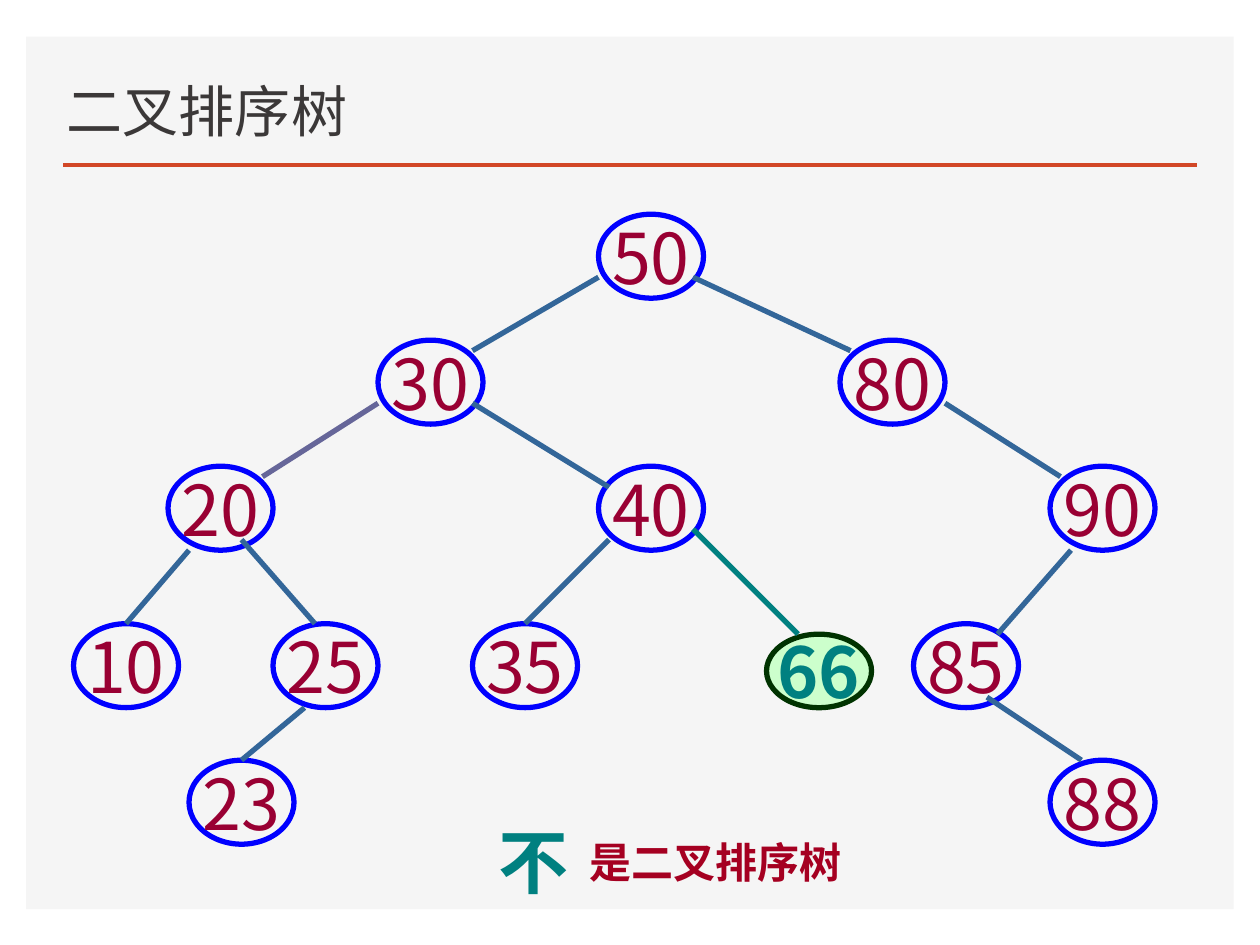
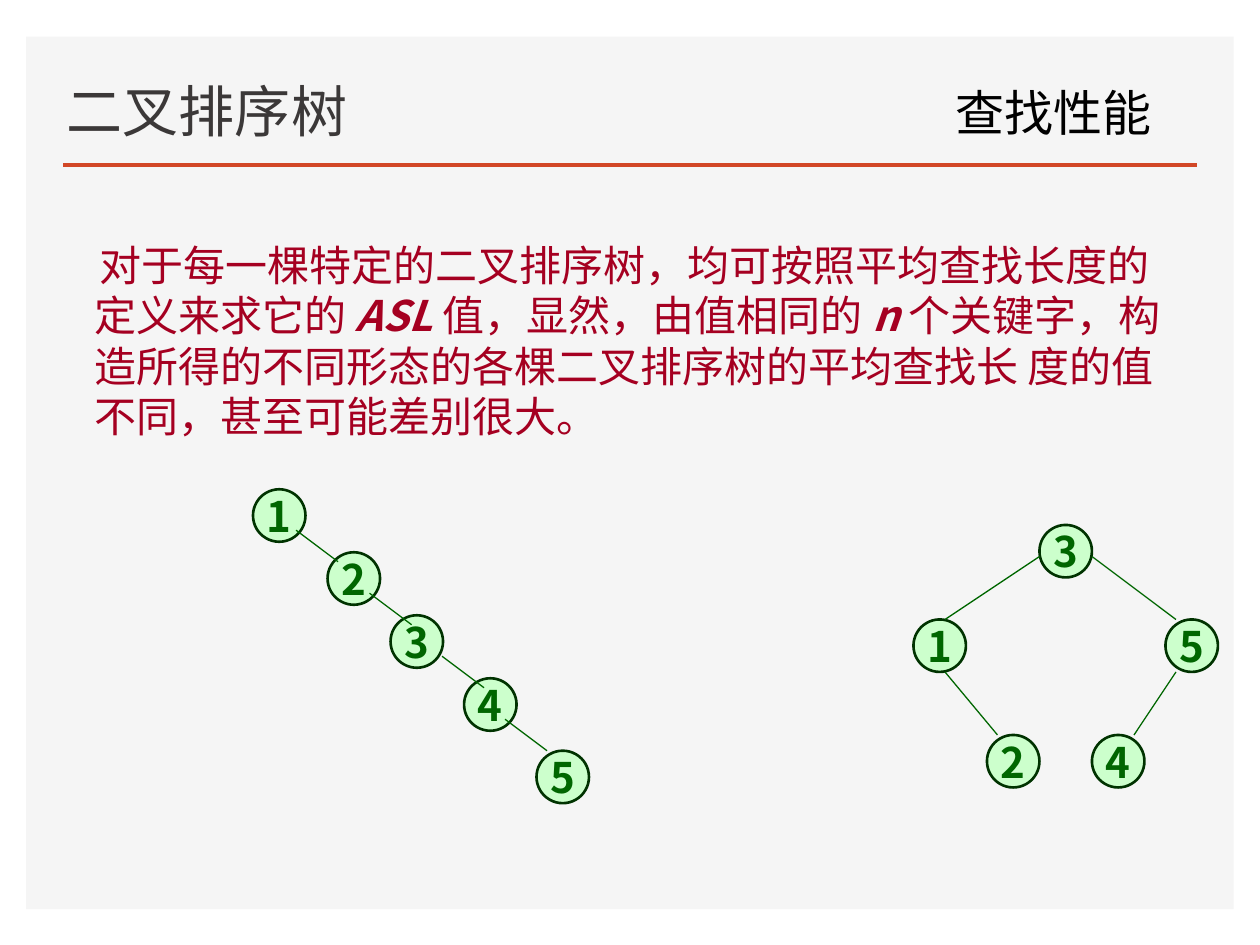
import pptx
import pptx.util
import pptx.dml.color
import pptx.enum.shapes
import pptx.enum.text
import pptx.oxml.ns
import lxml.etree

SCALE = 7620  # EMU in one px, 120 px to the inch
LATO = "Lato"
NOTO = "Noto Sans CJK SC"
CRIMSON = "A50021"
TEAL = "008080"
PALE_GREEN = "CCFFCC"
DARK_GREEN = "003300"
STEEL = "336699"
TITLE = "二叉排序树"

BIG_NODE = dict(width=100, height=80, line="0000FF", weight=3,
                font=NOTO, size=40, color="990033")
ADDED_NODE = dict(BIG_NODE, height=70, fill=PALE_GREEN, line=DARK_GREEN,
                  color=TEAL, bold=True)
SMALL_NODE = dict(width=50, height=50, fill=PALE_GREEN, line=DARK_GREEN, weight=1.5,
                  font=NOTO, size=24, color="006600", bold=True)


def px(length):
    return pptx.util.Emu(length * SCALE)


def rgb(color):
    return pptx.dml.color.RGBColor.from_string(color)


def add_span(para, text, font=NOTO, size=24, color=CRIMSON, bold=False, italic=False):
    span = para.add_run()
    span.text = text
    span.font.name = font
    span.font.size = pptx.util.Pt(size)
    span.font.bold = bold
    span.font.italic = italic
    span.font.color.rgb = rgb(color)
    east_asian = lxml.etree.SubElement(span.font._element, pptx.oxml.ns.qn("a:ea"))
    east_asian.set("typeface", font)
    span.font._element.find(pptx.oxml.ns.qn("a:latin")).addnext(east_asian)


def add_text(page, text, left, top, width, height, wrap=False, anchor="TOP", **style):
    box = page.shapes.add_textbox(px(left), px(top), px(width), px(height))
    box.text_frame.word_wrap = wrap
    box.text_frame.vertical_anchor = getattr(pptx.enum.text.MSO_ANCHOR, anchor)
    para = box.text_frame.paragraphs[0]
    if text:
        add_span(para, text, **style)
    return para


def add_line(page, start, end, color, weight):
    line = page.shapes.add_connector(
        pptx.enum.shapes.MSO_CONNECTOR.STRAIGHT, *map(px, start + end))
    line.line.color.rgb = rgb(color)
    line.line.width = pptx.util.Pt(weight)
    lxml.etree.SubElement(line._element.spPr, pptx.oxml.ns.qn("a:effectLst"))


def add_panel(page, kind, left, top, width, height, fill=None, line=None, weight=1):
    shape = page.shapes.add_shape(kind, px(left), px(top), px(width), px(height))
    shape.shadow.inherit = False
    if fill:
        shape.fill.solid()
        shape.fill.fore_color.rgb = rgb(fill)
    else:
        shape.fill.background()
    if line:
        shape.line.color.rgb = rgb(line)
        shape.line.width = pptx.util.Pt(weight)
    else:
        shape.line.fill.background()
    return shape


def add_node(page, key, left, top, width, height, line, weight, fill=None, **style):
    node = add_panel(page, pptx.enum.shapes.MSO_SHAPE.OVAL, left, top, width, height,
                     fill, line, weight)
    node.text_frame.word_wrap = False
    node.text_frame.vertical_anchor = pptx.enum.text.MSO_ANCHOR.MIDDLE
    para = node.text_frame.paragraphs[0]
    para.alignment = pptx.enum.text.PP_ALIGN.CENTER
    add_span(para, key, **style)


def add_tree(page, left, top, nodes, edges, node_style, edge_color, edge_weight):
    """Nodes are (key, x, y) and edges (x1, y1, x2, y2), all from the tree's corner."""
    for key, x, y in nodes:
        add_node(page, str(key), left + x, top + y, **node_style)
    for x1, y1, x2, y2 in edges:
        add_line(page, (left + x1, top + y1), (left + x2, top + y2),
                 edge_color, edge_weight)


def add_page(deck):
    page = deck.slides.add_slide(deck.slide_layouts[6])
    add_panel(page, pptx.enum.shapes.MSO_SHAPE.RECTANGLE, 25, 35, 1150, 831, fill="F5F5F5")
    add_line(page, (60, 157), (1140, 157), "D24726", 2)
    add_text(page, TITLE, 52, 59, 677, 84, wrap=True, anchor="BOTTOM",
             font=LATO, size=32, color="3B3838")
    return page


def add_search_tree(page, left, top):
    nodes = [(50, 500, 0), (30, 290, 120), (80, 730, 120),
             (20, 90, 240), (40, 500, 240), (90, 930, 240),
             (10, 0, 390), (25, 190, 390), (35, 380, 390), (85, 800, 390),
             (23, 110, 520), (88, 930, 520)]
    edges = [(500, 60, 380, 130), (590, 60, 740, 130),
             (380, 180, 510, 260), (830, 180, 940, 250),
             (110, 320, 50, 390), (160, 310, 230, 390),
             (510, 310, 430, 390), (950, 320, 880, 400),
             (220, 470, 160, 520), (870, 460, 960, 520)]
    add_tree(page, left, top, nodes, edges, BIG_NODE, STEEL, 3)
    add_tree(page, left, top, [], [(290, 180, 180, 250)], BIG_NODE, "666699", 3)
    add_tree(page, left, top, [(66, 660, 400)], [(590, 300, 690, 400)],
             ADDED_NODE, TEAL, 3)


def add_verdict(page, left, top):
    add_text(page, "不", left, top, 91, 92, size=40, color=TEAL, bold=True)
    add_text(page, "是二叉排序树", left + 87, top + 17, 266, 60, bold=True)


def add_explanation(page, left, top):
    para = add_text(page, "", left, top, 1062, 206, wrap=True)
    para._p.get_or_add_pPr().set("indent", str(px(5)))
    pieces = [("对于每一棵特定的二叉排序树，均可按照平均查找长度的定义来求它的 ", False),
              ("ASL ", True),
              ("值，显然，由值相同的 ", False),
              ("n ", True),
              ("个关键字，构造所得的不同形态的各棵二叉排序树的平均查找长 度的值不同，"
               "甚至可能差别很大。", False)]
    for text, strong in pieces:
        add_span(para, text, bold=strong, italic=strong)


def add_chain_tree(page, left, top):
    nodes = [(1, 0, 0), (2, 71, 60), (3, 131, 120), (4, 201, 180), (5, 270, 249)]
    starts = [(41, 39), (111, 99), (180, 159), (240, 219)]
    edges = [(x, y, x + 40, y + 30) for x, y in starts]
    add_tree(page, left, top, nodes, edges, SMALL_NODE, "006600", 0.75)


def add_balanced_tree(page, left, top):
    nodes = [(3, 120, 0), (1, 0, 90), (5, 240, 90), (2, 70, 200), (4, 170, 200)]
    edges = [(120, 30, 30, 90), (170, 30, 250, 90),
             (30, 140, 80, 200), (250, 140, 210, 200)]
    add_tree(page, left, top, nodes, edges, SMALL_NODE, "006600", 0.75)


def build_tree_page(deck):
    page = add_page(deck)
    add_search_tree(page, 70, 204)
    add_verdict(page, 463, 774)


def build_performance_page(deck):
    page = add_page(deck)
    add_text(page, "查找性能", 898, 73, 212, 68, font=LATO, size=28, color="000000")
    add_explanation(page, 78, 222)
    add_chain_tree(page, 241, 466)
    add_balanced_tree(page, 870, 500)


def main():
    deck = pptx.Presentation()
    deck.slide_width, deck.slide_height = px(1200), px(900)
    build_tree_page(deck)
    build_performance_page(deck)
    deck.save("out.pptx")


if __name__ == "__main__":
    main()
